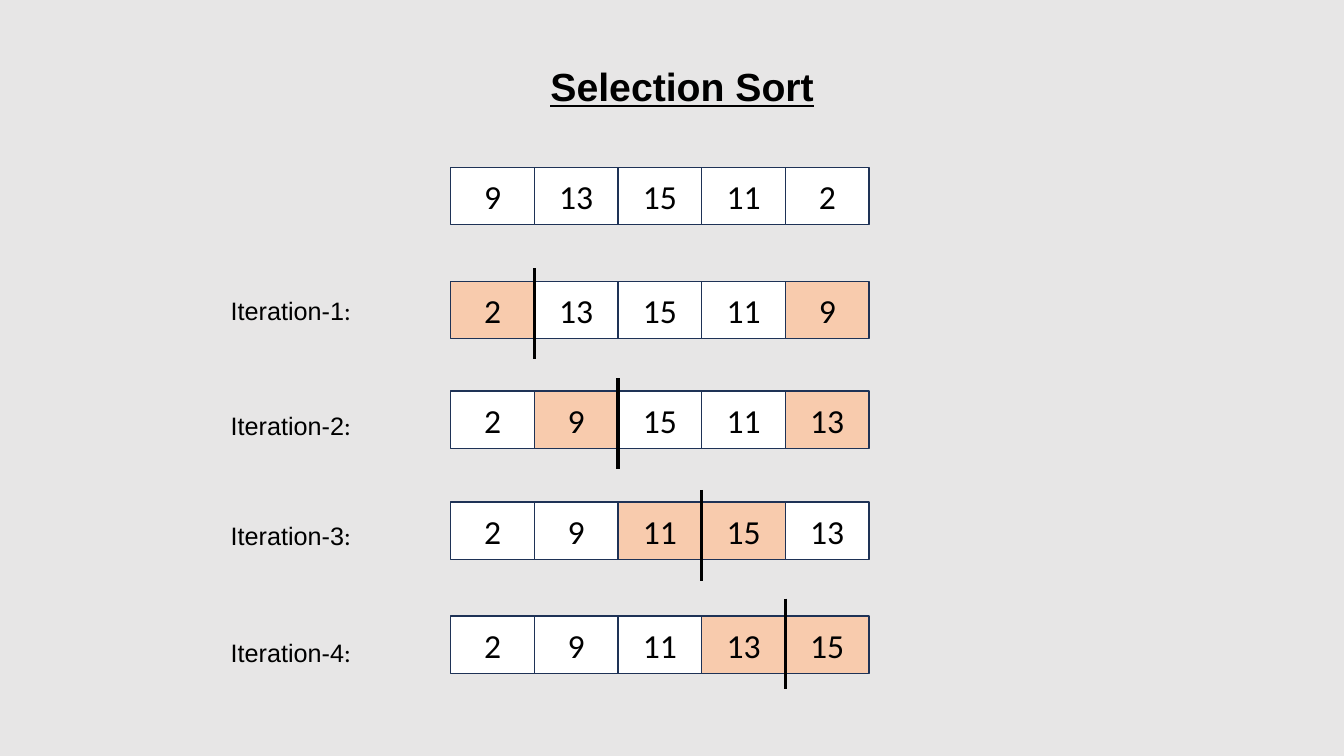
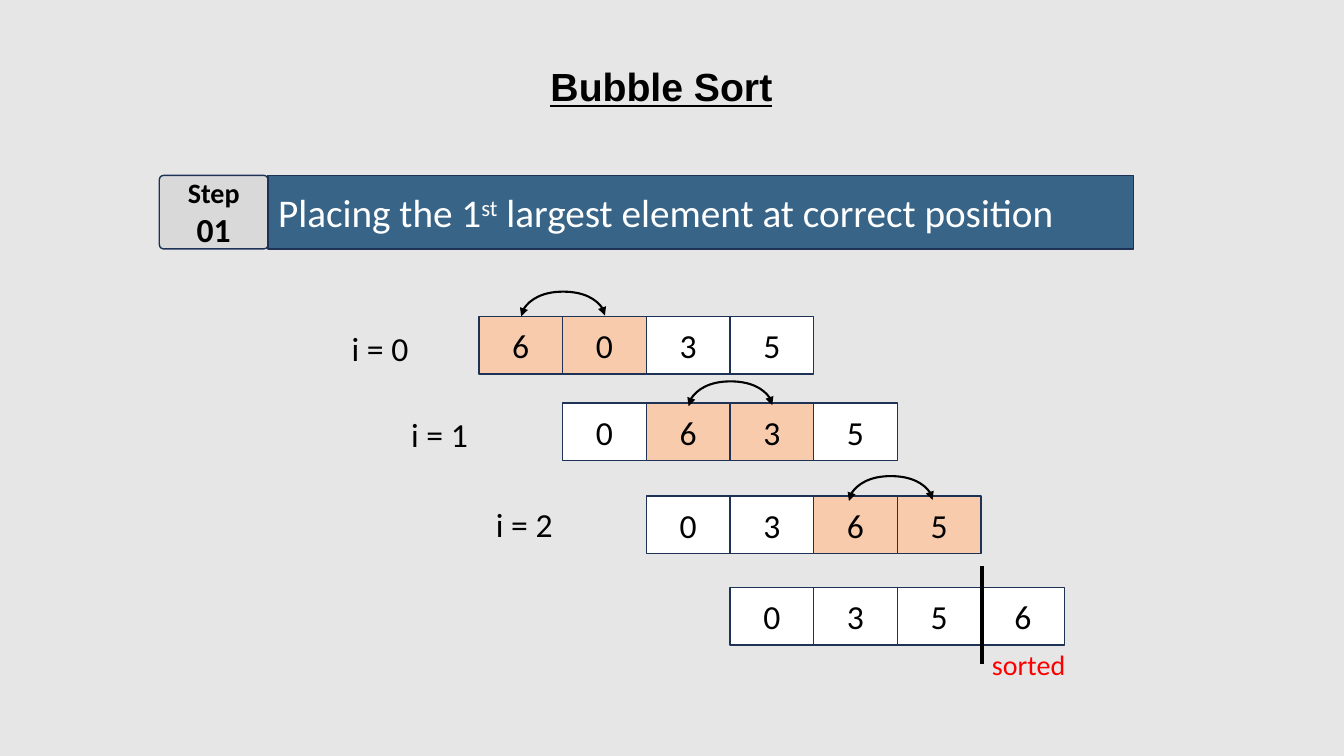
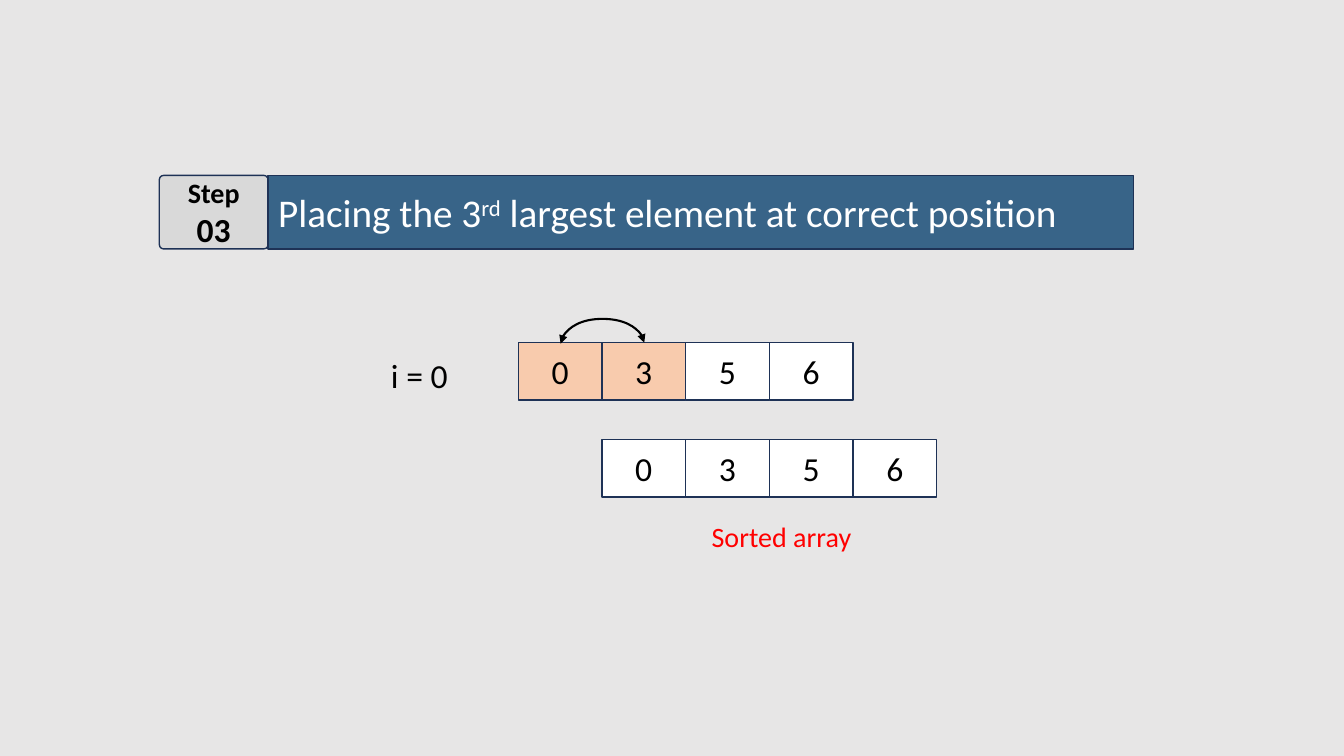
import lxml.etree
import pptx
import pptx.dml.color
import pptx.enum.shapes
import pptx.enum.text
import pptx.oxml.ns
import pptx.util

Inches = pptx.util.Inches
Pt = pptx.util.Pt
qn = pptx.oxml.ns.qn
SHAPE = pptx.enum.shapes.MSO_SHAPE
CONNECTOR = pptx.enum.shapes.MSO_CONNECTOR
ALIGN = pptx.enum.text.PP_ALIGN
ANCHOR = pptx.enum.text.MSO_ANCHOR
AUTO_SIZE = pptx.enum.text.MSO_AUTO_SIZE

BACKGROUND = "E7E6E6"
OUTLINE = "1E3256"
BAND = "386488"
BADGE = "D9D9D9"
HIGHLIGHT = "F8CBAD"
WHITE = "FFFFFF"
BLACK = "000000"
RED = "FF0000"

HEADING_FONT = "Arial"
BODY_FONT = "Calibri"
CELL_W, CELL_H = 0.83, 0.57
ARC_RISE, ARC_TILT = 0.25, 0.01
TITLE_ONLY, BLANK = 5, 6


def rgb(color):
    return pptx.dml.color.RGBColor.from_string(color)


def format_run(r, size, color=BLACK, font=BODY_FONT, bold=False):
    r.font.size = Pt(size)
    r.font.name = font
    r.font.bold = bold
    r.font.color.rgb = rgb(color)


def add_run(p, text, size, **style):
    r = p.add_run()
    r.text = text
    format_run(r, size, **style)
    return r


def add_title(s, text):
    title = s.shapes.title
    title.left, title.top = Inches(5.36), Inches(0.57)
    title.width, title.height = Inches(3.56), Inches(0.57)
    tf = title.text_frame
    tf.text = text
    tf.auto_size = AUTO_SIZE.NONE
    tf.vertical_anchor = ANCHOR.TOP
    p = tf.paragraphs[0]
    p.alignment = ALIGN.LEFT
    format_run(p.runs[0], 28, font=HEADING_FONT, bold=True)
    p.runs[0].font.underline = True


def add_text_box(s, x, y, w, h, wrap=False):
    """Add an empty text box and return its first paragraph."""
    tf = s.shapes.add_textbox(Inches(x), Inches(y), Inches(w), Inches(h)).text_frame
    tf.word_wrap = wrap
    tf.auto_size = AUTO_SIZE.SHAPE_TO_FIT_TEXT
    return tf.paragraphs[0]


def add_label(s, x, y, w, h, text, size, color=BLACK):
    p = add_text_box(s, x, y, w, h)
    p.text = text
    format_run(p.runs[0], size, color)


def add_index(s, x, y, i):
    add_label(s, x, y, 0.77, 0.5, f"i = {i}", 24)


def add_iteration(s, y, number):
    p = add_text_box(s, 2.19, y, 1.65, 0.4, wrap=True)
    add_run(p, f"Iteration-{number}", 18, font=HEADING_FONT)
    add_run(p, ":", 18)


def add_box(s, kind, x, y, w, h, fill):
    """Add an outlined shape and return it."""
    sp = s.shapes.add_shape(kind, Inches(x), Inches(y), Inches(w), Inches(h))
    sp.shadow.inherit = False
    sp.fill.solid()
    sp.fill.fore_color.rgb = rgb(fill)
    sp.line.color.rgb = rgb(OUTLINE)
    sp.line.width = Pt(1)
    sp.text_frame.vertical_anchor = ANCHOR.MIDDLE
    return sp


def add_array(s, x, y, values, marked=()):
    """Draw one row of cells, with the cells at the marked indexes highlighted."""
    for i, value in enumerate(values):
        fill = HIGHLIGHT if i in marked else WHITE
        sp = add_box(s, SHAPE.RECTANGLE, x + i * CELL_W, y, CELL_W, CELL_H, fill)
        p = sp.text_frame.paragraphs[0]
        p.text = str(value)
        p.alignment = ALIGN.CENTER
        format_run(p.runs[0], 24)


def add_line(s, kind, x1, y1, x2, y2, width):
    line = s.shapes.add_connector(kind, Inches(x1), Inches(y1), Inches(x2), Inches(y2))
    line.line.color.rgb = rgb(BLACK)
    line.line.width = Pt(width)
    lxml.etree.SubElement(line.element.spPr, qn("a:effectLst"))
    return line


def add_divider(s, x, y, length):
    add_line(s, CONNECTOR.STRAIGHT, x, y, x, y + length, 2.25)


def add_swap_arc(s, x, y):
    """Draw a double-headed arc from (x, y) to the next cell on the right."""
    # The frame is upright and flipped; a quarter turn lays it over the cells.
    mid_x, mid_y = x + CELL_W / 2, y - ARC_TILT / 2
    dx, dy = ARC_TILT / 2, CELL_W / 2
    arc = add_line(s, CONNECTOR.CURVE, mid_x + dx, mid_y + dy, mid_x - dx, mid_y - dy, 1.5)
    spPr = arc.element.spPr
    spPr.find(qn("a:xfrm")).set("rot", "5400000")
    guides = spPr.find(qn("a:prstGeom")).find(qn("a:avLst"))
    bend = round(ARC_RISE / ARC_TILT * 100000)
    lxml.etree.SubElement(guides, qn("a:gd"), name="adj1", fmla=f"val {bend}")
    ln = spPr.find(qn("a:ln"))
    for end in ("a:headEnd", "a:tailEnd"):
        lxml.etree.SubElement(ln, qn(end), type="triangle")


def add_step_band(s, number, suffix):
    """Draw the step badge and the heading band beside it."""
    badge = add_box(s, SHAPE.ROUNDED_RECTANGLE, 1.58, 1.74, 1.08, 0.73, BADGE)
    badge.adjustments[0] = 0.06
    badge.text_frame.text = f"Step\n{number:02}"
    for p, size in zip(badge.text_frame.paragraphs, (20, 24)):
        p.alignment = ALIGN.CENTER
        format_run(p.runs[0], size, bold=True)

    band = add_box(s, SHAPE.RECTANGLE, 2.66, 1.74, 8.58, 0.73, BAND)
    p = band.text_frame.paragraphs[0]
    p.alignment = ALIGN.LEFT
    add_run(p, f"Placing the {number}", 28, color=WHITE)
    r = add_run(p, suffix, 28, color=WHITE)
    r.font._element.set("baseline", "30000")
    add_run(p, " largest element at correct position", 28, color=WHITE)


def build_selection_sort(prs):
    s = prs.slides.add_slide(prs.slide_layouts[TITLE_ONLY])
    add_title(s, "Selection Sort")
    left = 4.47
    add_array(s, left, 1.66, [9, 13, 15, 11, 2])
    iterations = [
        # label top, array top, divider top, values, swapped cells
        (2.88, 2.79, 2.66, [2, 13, 15, 11, 9], (0, 4)),
        (4.02, 3.88, 3.75, [2, 9, 15, 11, 13], (1, 4)),
        (5.11, 4.98, 4.86, [2, 9, 11, 15, 13], (2, 3)),
        (6.27, 6.11, 5.94, [2, 9, 11, 13, 15], (3, 4)),
    ]
    for number, (label_y, y, divider_y, values, swapped) in enumerate(iterations, 1):
        add_iteration(s, label_y, number)
        add_array(s, left, y, values, swapped)
        add_divider(s, left + number * CELL_W, divider_y, 0.9)


def build_bubble_step_1(prs):
    s = prs.slides.add_slide(prs.slide_layouts[TITLE_ONLY])
    add_title(s, "Bubble Sort")
    add_step_band(s, 1, "st")
    left = 4.75
    passes = [
        # array top, values, label position, arc start
        (3.14, [6, 0, 3, 5], (3.39, 3.2), (5.17, 3.14)),
        (4, [0, 6, 3, 5], (3.98, 4.06), (6.83, 4.03)),
        (4.92, [0, 3, 6, 5], (4.82, 4.95), (8.42, 4.97)),
    ]
    for i, (y, values, label, arc) in enumerate(passes):
        add_array(s, left + i * CELL_W, y, values, (i, i + 1))
        add_index(s, *label, i)
        add_swap_arc(s, *arc)
    add_array(s, left + len(passes) * CELL_W, 5.83, [0, 3, 5, 6])
    add_label(s, 9.74, 6.37, 0.94, 0.44, "sorted", 20, RED)
    add_divider(s, 9.74, 5.62, 0.97)


def build_bubble_step_3(prs):
    s = prs.slides.add_slide(prs.slide_layouts[BLANK])
    add_step_band(s, 3, "rd")
    left = 5.14
    values = [0, 3, 5, 6]
    add_array(s, left, 3.4, values, (0, 1))
    add_array(s, left + CELL_W, 4.36, values)
    add_index(s, 3.78, 3.47, 0)
    add_swap_arc(s, 5.56, 3.41)
    add_label(s, 6.96, 5.1, 1.6, 0.44, "Sorted array", 20, RED)


def main():
    prs = pptx.Presentation()
    prs.slide_width, prs.slide_height = Inches(13.33), Inches(7.5)
    fill = prs.slide_master.background.fill
    fill.solid()
    fill.fore_color.rgb = rgb(BACKGROUND)
    build_selection_sort(prs)
    build_bubble_step_1(prs)
    build_bubble_step_3(prs)
    prs.save("out.pptx")


if __name__ == "__main__":
    main()
